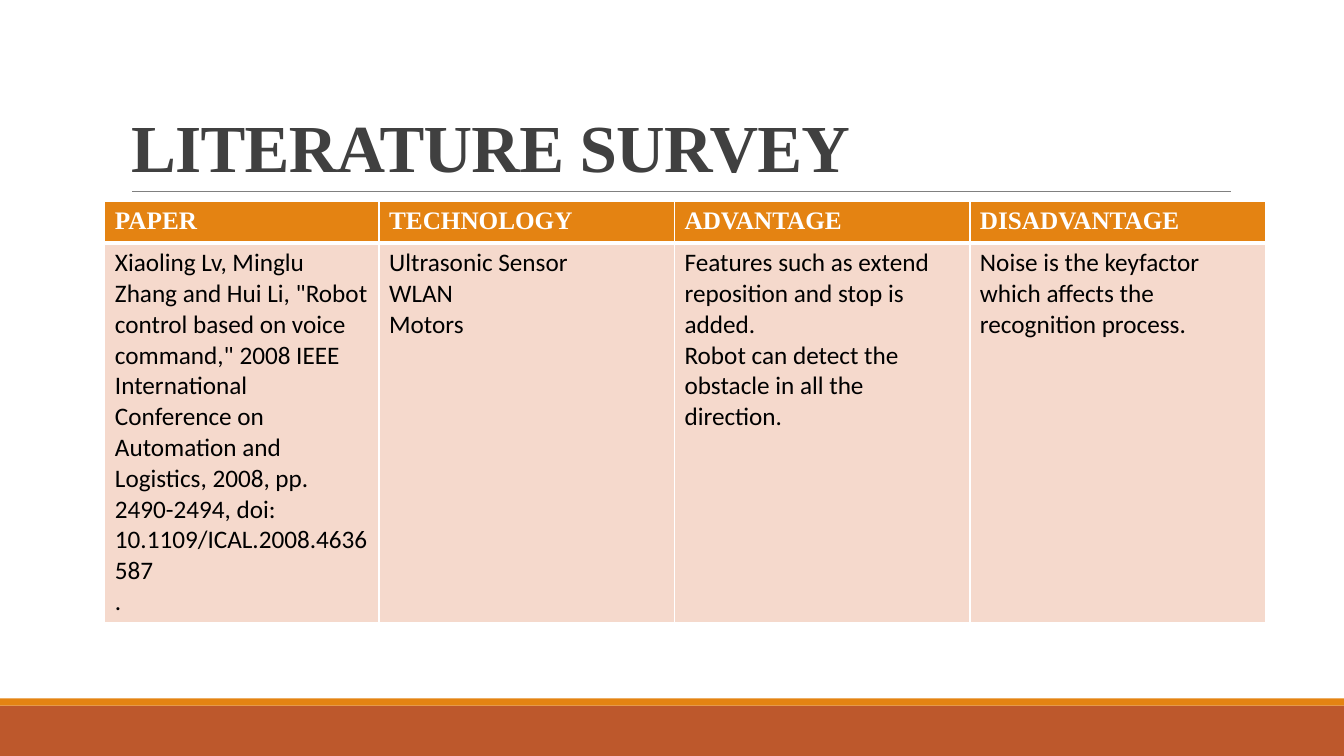
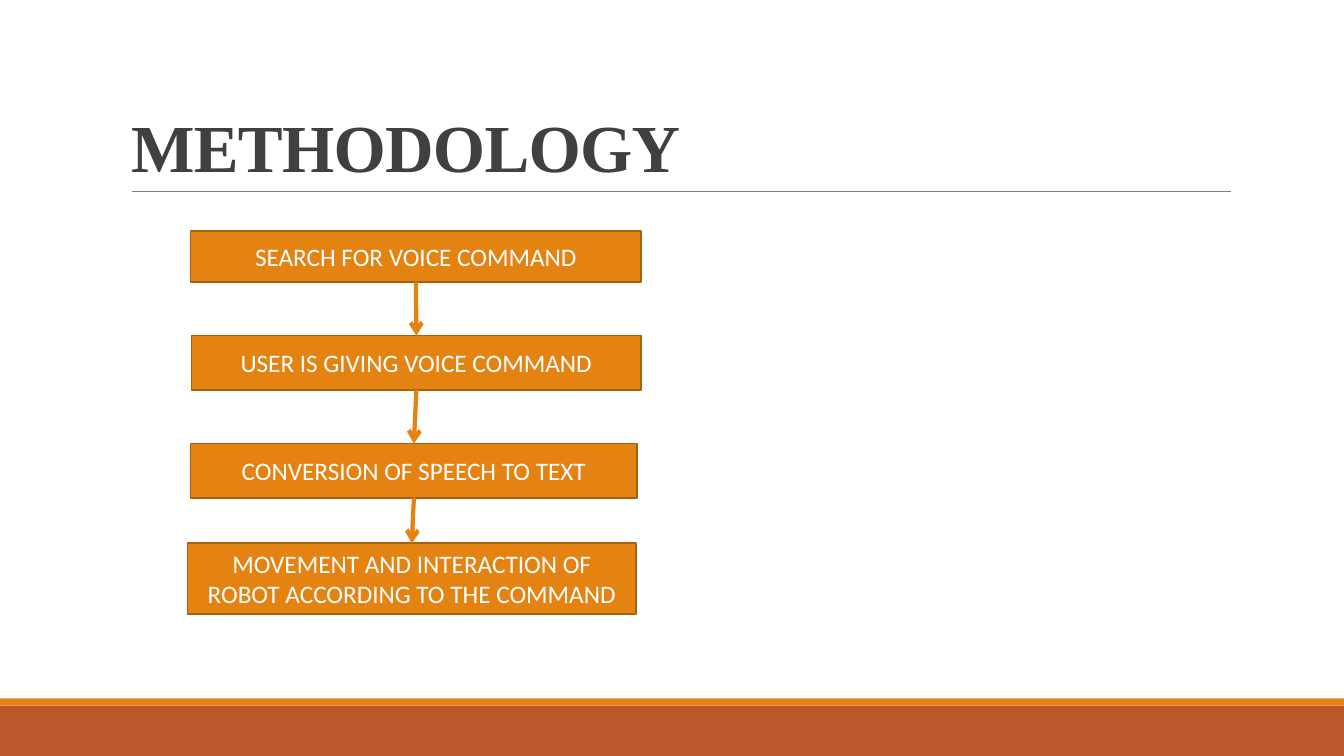
from itertools import pairwise

from lxml import etree
from pptx import Presentation
from pptx.dml.color import RGBColor
from pptx.enum.shapes import MSO_CONNECTOR, MSO_SHAPE
from pptx.enum.text import MSO_ANCHOR, MSO_AUTO_SIZE, PP_ALIGN
from pptx.oxml.ns import qn
from pptx.util import Pt

PX = 9144  # EMU per px, 100 px to the inch
SLIDE_W, SLIDE_H = 1333, 750
TITLE_ONLY = 5
RECT, STRAIGHT = MSO_SHAPE.RECTANGLE, MSO_CONNECTOR.STRAIGHT
TOP_SIDE, BOTTOM_SIDE = 0, 2
LEFT, CENTER = PP_ALIGN.LEFT, PP_ALIGN.CENTER
MIDDLE, BOTTOM = MSO_ANCHOR.MIDDLE, MSO_ANCHOR.BOTTOM
HEAD_FONT, BODY_FONT = "Times New Roman", "Calibri"

COLORS = {
    "rust": "BD582C",
    "orange": "E48312",
    "dark_orange": "A9610D",
    "peach": "F5D9CC",
    "title": "404040",
    "rule": "808080",
    "white": "FFFFFF",
    "black": "000000",
}

SURVEY = [
    ("PAPER", 272, [
        'Xiaoling Lv, Minglu Zhang and Hui Li, "Robot control based on voice '
        'command," 2008 IEEE International Conference on Automation and '
        "Logistics, 2008, pp. 2490-2494, doi: 10.1109/ICAL.2008.4636587",
        "."]),
    ("TECHNOLOGY", 293, ["Ultrasonic Sensor", "WLAN", "Motors"]),
    ("ADVANTAGE", 293, [
        "Features such as extend reposition and stop is added.",
        "Robot can detect the obstacle in all the direction."]),
    ("DISADVANTAGE", 293, [
        "Noise is the keyfactor which affects the recognition process."]),
]

STEPS = [
    ("SEARCH FOR VOICE COMMAND", (189, 229, 447, 51)),
    ("USER IS GIVING VOICE COMMAND", (190, 333, 446, 54)),
    ("CONVERSION OF SPEECH TO TEXT", (189, 440, 443, 54)),
    ("MOVEMENT AND INTERACTION OF ROBOT ACCORDING TO THE COMMAND",
     (186, 539, 445, 70)),
]


def px(*lengths):
    return [n * PX for n in lengths]


def rgb(name):
    return RGBColor.from_string(COLORS[name])


def format_text(tf, size, font, color, bold=False, align=LEFT):
    for p in tf.paragraphs:
        p.alignment = align
        for r in p.runs:
            r.font.size = Pt(size)
            r.font.name = font
            r.font.bold = bold
            r.font.color.rgb = rgb(color)


def add_box(slide, box, fill, line=None):
    sp = slide.shapes.add_shape(RECT, *px(*box))
    sp.shadow.inherit = False
    sp.fill.solid()
    sp.fill.fore_color.rgb = rgb(fill)
    if line:
        sp.line.color.rgb = rgb(line)
        sp.line.width = Pt(1.25)
    else:
        sp.line.fill.background()
    return sp


def add_line(slide, ends, color, width):
    line = slide.shapes.add_connector(STRAIGHT, *px(*ends))
    line.line.color.rgb = rgb(color)
    line.line.width = Pt(width)
    etree.SubElement(line._element.spPr, qn("a:effectLst"))
    return line


def add_arrow(slide, upper, lower):
    """Join two boxes from bottom to top with an open arrowhead."""
    arrow = add_line(slide, (0, 0, 0, 0), "orange", 3)
    arrow.begin_connect(upper, BOTTOM_SIDE)
    arrow.end_connect(lower, TOP_SIDE)
    ln = arrow.line._get_or_add_ln()
    etree.SubElement(ln, qn("a:tailEnd"), type="arrow")


def add_titled_slide(prs, title):
    """Add a slide with the shared bands, title and rule."""
    slide = prs.slides.add_slide(prs.slide_layouts[TITLE_ONLY])
    add_box(slide, (0, 700, SLIDE_W, 50), "rust")
    add_box(slide, (0, 693, SLIDE_W, 7), "orange")
    add_line(slide, (131, 190, 1221, 190), "rule", 0.5)

    sp = slide.shapes.title
    sp.left, sp.top, sp.width, sp.height = px(120, 31, 1100, 159)
    tf = sp.text_frame
    tf.text = title
    tf.auto_size = MSO_AUTO_SIZE.NONE
    tf.vertical_anchor = BOTTOM
    tf.paragraphs[0].line_spacing = 0.85
    format_text(tf, 48, HEAD_FONT, "title", bold=True)
    tf.paragraphs[0].runs[0]._r.get_or_add_rPr().set("spc", "-50")
    return slide


def set_borders(cell, **widths):
    """Draw white borders; widths in points are keyed by side: L, R, T, B."""
    tc_pr = cell._tc.get_or_add_tcPr()
    for i, side in enumerate("LRTB"):
        ln = etree.Element(qn(f"a:ln{side}"), w=str(Pt(widths.get(side, 1))))
        fill = etree.SubElement(ln, qn("a:solidFill"))
        etree.SubElement(fill, qn("a:srgbClr"), val=COLORS["white"])
        tc_pr.insert(i, ln)


def fill_cell(cell, lines, fill, **style):
    cell.text = "\n".join(lines)
    cell.fill.solid()
    cell.fill.fore_color.rgb = rgb(fill)
    format_text(cell.text_frame, 18, **style)


def add_survey_table(slide):
    width = sum(col_w for _, col_w, _ in SURVEY)
    frame = slide.shapes.add_table(2, len(SURVEY), *px(104, 200, width, 412))
    table = frame.table
    table.rows[0].height, table.rows[1].height = px(41, 371)
    for i, (heading, col_w, lines) in enumerate(SURVEY):
        table.columns[i].width = col_w * PX
        head, body = table.cell(0, i), table.cell(1, i)
        fill_cell(head, [heading], "orange",
                  font=HEAD_FONT, color="white", bold=True)
        fill_cell(body, lines, "peach", font=BODY_FONT, color="black")
        set_borders(head, B=3)
        set_borders(body, T=3)


def add_step(slide, text, box):
    sp = add_box(slide, box, "orange", "dark_orange")
    tf = sp.text_frame
    tf.text = text
    tf.word_wrap = True
    tf.vertical_anchor = MIDDLE
    format_text(tf, 18, BODY_FONT, "white", align=CENTER)
    return sp


def main():
    prs = Presentation()
    prs.slide_width, prs.slide_height = px(SLIDE_W, SLIDE_H)

    add_survey_table(add_titled_slide(prs, "LITERATURE SURVEY"))

    slide = add_titled_slide(prs, "METHODOLOGY")
    steps = [add_step(slide, text, box) for text, box in STEPS]
    for upper, lower in pairwise(steps):
        add_arrow(slide, upper, lower)

    prs.save("out.pptx")


if __name__ == "__main__":
    main()
